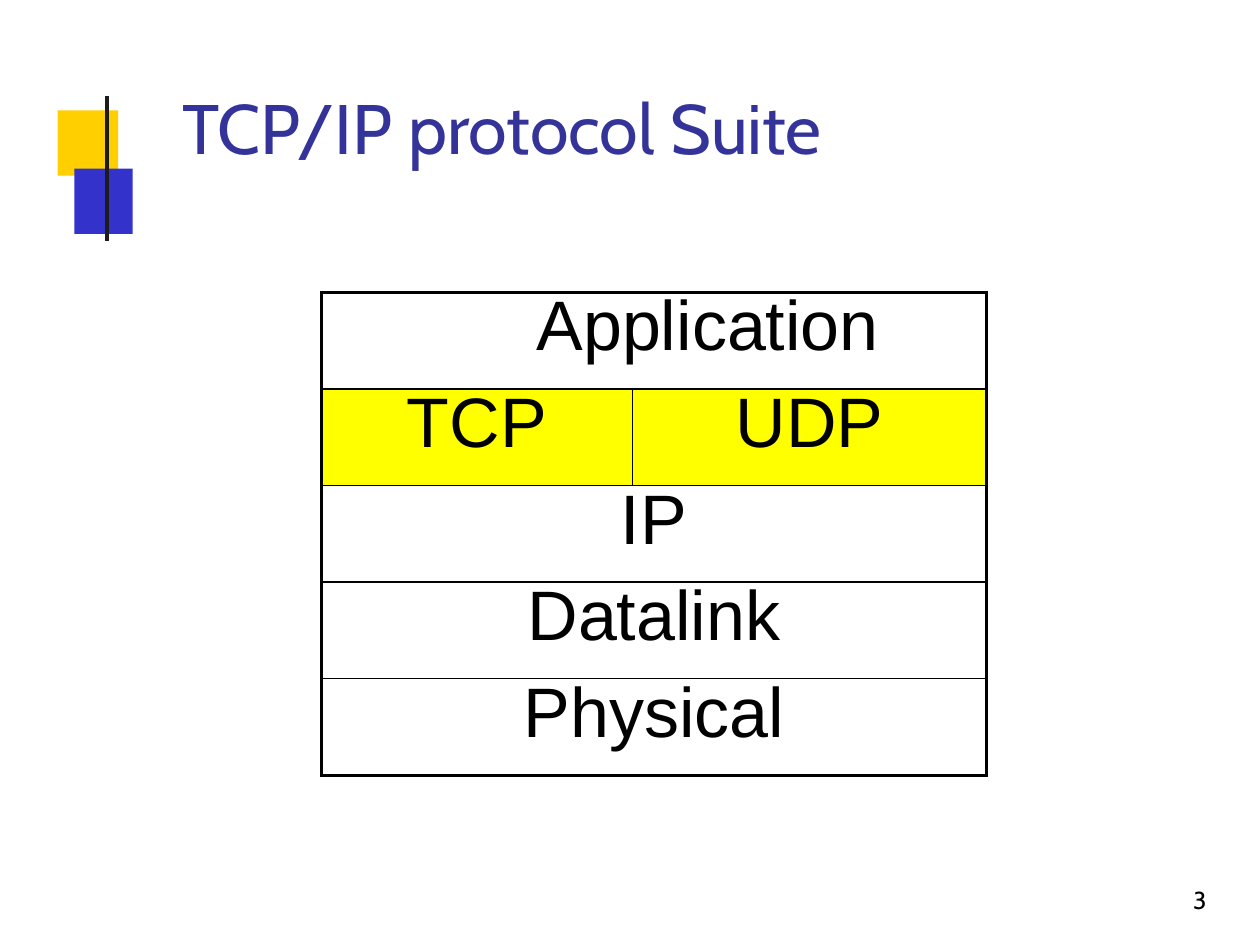
from dataclasses import dataclass

from lxml import etree
from pptx import Presentation
from pptx.dml.color import RGBColor
from pptx.enum.shapes import MSO_CONNECTOR, MSO_SHAPE
from pptx.enum.text import PP_ALIGN
from pptx.oxml.ns import qn
from pptx.util import Pt

RECTANGLE = MSO_SHAPE.RECTANGLE
STRAIGHT = MSO_CONNECTOR.STRAIGHT
LEFT = PP_ALIGN.LEFT
CENTER = PP_ALIGN.CENTER

BLACK = "000000"
YELLOW = "FFFF00"
COLUMN_WIDTHS = (177.8, 202.3)
ROW_HEIGHT = 55.2
OUTER_BORDER = 2
INNER_BORDER = 1


@dataclass(frozen=True)
class Box:
    left: float
    top: float
    width: float
    height: float

    def lengths(self) -> tuple:
        return Pt(self.left), Pt(self.top), Pt(self.width), Pt(self.height)


@dataclass(frozen=True)
class TextStyle:
    font: str
    size: float
    color: str
    line_spacing: float
    align: PP_ALIGN = CENTER
    indent: float = 0


@dataclass(frozen=True)
class Layer:
    protocols: tuple[str, ...]
    style: TextStyle
    fill: str | None = None


LAYER_STYLE = TextStyle("Arial", 40, BLACK, 42.2)
LAYERS = (
    Layer(("Application",), TextStyle("Arial", 40, BLACK, 41.8, LEFT, 123)),
    Layer(("TCP", "UDP"), LAYER_STYLE, YELLOW),
    Layer(("IP",), LAYER_STYLE),
    Layer(("Datalink",), LAYER_STYLE),
    Layer(("Physical",), LAYER_STYLE),
)
SQUARES = (
    (Box(33, 63, 34.5, 37.4), "FFCF00"),
    (Box(42.5, 96.3, 33.3, 37.4), "3333CC"),
)


def rgb(color: str) -> RGBColor:
    return RGBColor.from_string(color)


def write(frame, text: str, style: TextStyle) -> None:
    paragraph = frame.paragraphs[0]
    paragraph.text = text
    paragraph.alignment = style.align
    paragraph.line_spacing = Pt(style.line_spacing)
    paragraph.font.name = style.font
    paragraph.font.size = Pt(style.size)
    paragraph.font.color.rgb = rgb(style.color)
    if style.indent:
        properties = paragraph._p.get_or_add_pPr()
        properties.set("marL", str(Pt(style.indent)))
        properties.set("indent", "0")


def clear_margins(holder) -> None:
    holder.margin_left = holder.margin_right = 0
    holder.margin_top = holder.margin_bottom = 0


def add_text(slide, box: Box, text: str, style: TextStyle) -> None:
    frame = slide.shapes.add_textbox(*box.lengths()).text_frame
    frame.word_wrap = True
    clear_margins(frame)
    write(frame, text, style)


def add_square(slide, box: Box, color: str) -> None:
    square = slide.shapes.add_shape(RECTANGLE, *box.lengths())
    square.shadow.inherit = False
    square.fill.solid()
    square.fill.fore_color.rgb = rgb(color)
    square.line.fill.background()


def add_rule(slide, x: float, top: float, bottom: float) -> None:
    rule = slide.shapes.add_connector(STRAIGHT, Pt(x), Pt(top), Pt(x), Pt(bottom))
    rule.line.color.rgb = rgb("1C1C1C")
    rule.line.width = Pt(2.52)
    etree.SubElement(rule._element.spPr, qn("a:effectLst"))


def set_borders(cell, outer_edges: dict[str, bool]) -> None:
    properties = cell._tc.get_or_add_tcPr()
    for position, (edge, is_outer) in enumerate(outer_edges.items()):
        border = etree.Element(qn(f"a:ln{edge}"))
        border.set("w", str(Pt(OUTER_BORDER if is_outer else INNER_BORDER)))
        fill = etree.SubElement(border, qn("a:solidFill"))
        etree.SubElement(fill, qn("a:srgbClr")).set("val", BLACK)
        properties.insert(position, border)


def add_layer(table, row: int, layer: Layer) -> None:
    last_row = len(LAYERS) - 1
    last_column = len(COLUMN_WIDTHS) - 1
    spans = len(layer.protocols) == 1
    if spans:
        table.cell(row, 0).merge(table.cell(row, last_column))
    for column in range(len(COLUMN_WIDTHS)):
        cell = table.cell(row, column)
        clear_margins(cell)
        if layer.fill:
            cell.fill.solid()
            cell.fill.fore_color.rgb = rgb(layer.fill)
        else:
            cell.fill.background()
        set_borders(cell, {
            "L": spans or column == 0,
            "R": spans or column == last_column,
            "T": row == 0,
            "B": row == last_row,
        })
    for column, protocol in enumerate(layer.protocols):
        write(table.cell(row, column).text_frame, protocol, layer.style)


def add_protocol_stack(slide, left: float, top: float) -> None:
    box = Box(left, top, sum(COLUMN_WIDTHS), ROW_HEIGHT * len(LAYERS))
    table = slide.shapes.add_table(
        len(LAYERS), len(COLUMN_WIDTHS), *box.lengths()
    ).table
    table.first_row = False
    table.horz_banding = False
    for column, width in zip(table.columns, COLUMN_WIDTHS):
        column.width = Pt(width)
    for row, layer in enumerate(LAYERS):
        table.rows[row].height = Pt(ROW_HEIGHT)
        add_layer(table, row, layer)


def main() -> None:
    presentation = Presentation()
    presentation.slide_width = Pt(720)
    presentation.slide_height = Pt(540)
    slide = presentation.slides.add_slide(presentation.slide_layouts[6])
    for box, color in SQUARES:
        add_square(slide, box, color)
    add_rule(slide, 61.2, 54.7, 137.5)
    add_text(slide, Box(97.2, 48.2, 379.4, 47.5), "TCP/IP protocol Suite",
             TextStyle("Cabin", 40, "333399", 47.9))
    add_text(slide, Box(673.2, 506.9, 25.9, 16.6), "3",
             TextStyle("Cabin", 14, BLACK, 15.5, LEFT, 8.6))
    add_protocol_stack(slide, 183.6, 167)
    presentation.save("out.pptx")


if __name__ == "__main__":
    main()
